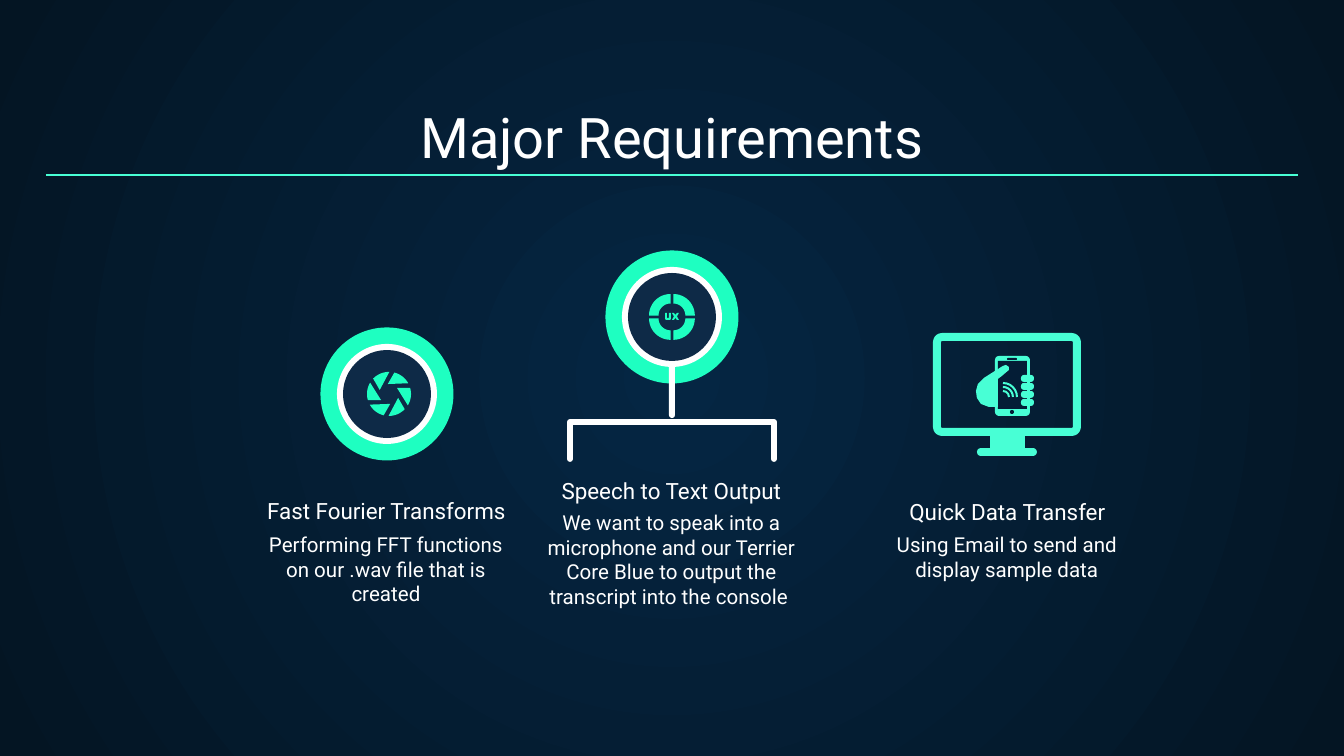
from math import cos, radians, sin

from pptx import Presentation
from pptx import util as u
from pptx.dml.color import RGBColor
from pptx.enum import shapes, text
from pptx.oxml import ns, parse_xml

COLORS = {
    "center": "052643", "edge": "041523", "screen": "041D36", "navy": "0E2A47",
    "green": "1EFFC1", "mint": "48FFD5", "white": "FFFFFF",
}
KIND = shapes.MSO_SHAPE


def rgb(name):
    return RGBColor.from_string(COLORS[name])


def px(length):
    return u.Inches(length / 134.4)


def arc(center, radius, start, end, steps=12):
    angles = [radians(start + (end - start) * i / steps) for i in range(steps + 1)]
    return [(center[0] + radius * cos(a), center[1] + radius * sin(a)) for a in angles]


class Canvas:
    """Slide style and the page being drawn."""

    font = "Roboto"
    inset = 13

    def __init__(self, page):
        self.page = page

    def background(self, inner, outer):
        fill = self.page.background.fill
        fill.gradient()
        for stop, color in zip(fill.gradient_stops, (inner, outer)):
            stop.color.rgb = rgb(color)
        grad = self.page._element.find(".//" + ns.qn("a:gradFill"))
        grad.remove(grad.find(ns.qn("a:lin")))
        grad.append(parse_xml(
            f'<a:path {ns.nsdecls("a")} path="circle">'
            '<a:fillToRect l="50000" t="50000" r="50000" b="50000"/></a:path>'))

    def paint(self, shape, fill=None, line=None, weight=1):
        shape.shadow.inherit = False
        if fill:
            shape.fill.solid()
            shape.fill.fore_color.rgb = rgb(fill)
        else:
            shape.fill.background()
        if line:
            shape.line.color.rgb = rgb(line)
            shape.line.width = px(weight)
        else:
            shape.line.fill.background()
        return shape

    def shape(self, kind, left, top, width, height, radius=None, **paint):
        shape = self.page.shapes.add_shape(kind, px(left), px(top), px(width), px(height))
        if radius is not None:
            shape.adjustments[0] = radius / min(width, height)
        return self.paint(shape, **paint)

    def circle(self, center, diameter, kind=KIND.OVAL, **paint):
        left, top = (c - diameter / 2 for c in center)
        return self.shape(kind, left, top, diameter, diameter, **paint)

    def outline(self, points, close=True, **paint):
        points = [(px(x), px(y)) for x, y in points]
        builder = self.page.shapes.build_freeform(*points[0])
        builder.add_line_segments(points[1:], close=close)
        return self.paint(builder.convert_to_shape(), **paint)

    def rule(self, left, right, top, color, points):
        line = self.page.shapes.add_connector(
            shapes.MSO_CONNECTOR.STRAIGHT, px(left), px(top), px(right), px(top))
        line.line.color.rgb = rgb(color)
        line.line.width = u.Pt(points)
        line._element.spPr.append(parse_xml(f'<a:effectLst {ns.nsdecls("a")}/>'))

    def text(self, words, left, top, width, height, size, anchor=text.MSO_ANCHOR.TOP):
        box = self.page.shapes.add_textbox(px(left), px(top), px(width), px(height))
        frame = box.text_frame
        frame.word_wrap = True
        frame.vertical_anchor = anchor
        for side in ("left", "top", "right", "bottom"):
            setattr(frame, "margin_" + side, px(self.inset))
        para = frame.paragraphs[0]
        para.alignment = text.PP_ALIGN.CENTER
        span = para.add_run()
        span.text = words
        span.font.name = self.font
        span.font.size = u.Pt(size)
        span.font.color.rgb = rgb("white")

    def heading(self, words, left, top, width, height, size=12):
        self.text(words, left, top, width, height, size, text.MSO_ANCHOR.BOTTOM)

    def badge(self, center):
        for diameter, color in ((100, "white"), (88, "navy")):
            self.circle(center, diameter, fill=color)

    def aperture(self, center):
        for turn in range(0, 360, 60):
            tip = arc(center, 10, 143 + turn, 143 + turn, 1)[:1]
            self.outline(arc(center, 22, 164 + turn, 211 + turn) + tip, fill="green")

    def segmented_ring(self, center):
        for turn in range(0, 360, 90):
            corner = arc(center, 2, turn + 45, turn + 45, 1)[0]
            sector = arc(corner, 21.5, turn, turn + 90) + arc(corner, 12, turn + 90, turn)
            self.outline(sector, fill="green")

    def monitor(self):
        self.shape(KIND.ROUNDED_RECTANGLE, 937, 337, 140, 95, 5, line="mint", weight=8)
        self.shape(KIND.RECTANGLE, 990, 435, 35, 14, fill="mint")
        self.shape(KIND.ROUNDED_RECTANGLE, 977, 448, 60, 8, 4, fill="mint")

    def phone(self):
        self.shape(KIND.ROUNDED_RECTANGLE, 995, 356, 35, 60, 4, fill="mint")
        self.shape(KIND.RECTANGLE, 998, 361, 29, 48, fill="screen")
        self.shape(KIND.ROUNDED_RECTANGLE, 1007, 358, 10, 2, 1, fill="screen")
        self.circle((1012, 412), 4, fill="screen")
        self.outline([
            (995, 371), (984, 378), (978, 384), (976, 391), (977, 398), (981, 404),
            (989, 407), (998, 407), (998, 379), (1002, 376), (1009, 370), (1009, 367),
            (1006, 365), (1003, 366)], fill="mint")
        for finger in range(4):
            self.shape(KIND.ROUNDED_RECTANGLE, 1021, 375 + 8 * finger, 13, 7, 3, fill="mint")
        for radius in (6, 10, 14):
            self.circle((1003, 397), 2 * radius, KIND.ARC, line="mint", weight=2)


def main():
    deck = Presentation()
    deck.slide_width, deck.slide_height = px(1344), px(756)
    canvas = Canvas(deck.slides.add_slide(deck.slide_layouts[6]))
    canvas.background("center", "edge")

    canvas.heading("Major Requirements", 46, 94, 1252, 89, 30)
    canvas.rule(46, 1298, 175, "mint", 0.75)

    fourier, speech = (387, 394), (672, 317)
    canvas.circle(fourier, 133, fill="green")
    canvas.badge(fourier)
    canvas.aperture((389, 394))

    canvas.circle(speech, 133, fill="green")
    bracket = canvas.outline([(570, 459), (570, 422), (774, 422), (774, 459)],
                             close=False, line="white", weight=6)
    bracket.line._ln.set("cap", "rnd")
    canvas.shape(KIND.ROUNDED_RECTANGLE, 669, 306, 6, 112, 3, fill="white")
    canvas.badge(speech)
    canvas.segmented_ring(speech)
    canvas.outline([
        (665, 313), (667, 313), (667, 318), (669, 318), (669, 313), (671, 313),
        (671, 319), (670, 320), (666, 320), (665, 319)], fill="green")
    canvas.outline([
        (672, 313), (674, 313), (675.5, 315), (677, 313), (679, 313), (677, 316.5),
        (679, 320), (677, 320), (675.5, 318), (674, 320), (672, 320), (674, 316.5)],
        fill="green")

    canvas.monitor()
    canvas.phone()

    canvas.heading("Fast Fourier Transforms", 234, 509, 305, 28)
    canvas.text("Performing FFT functions on our .wav file that is created",
                255, 519, 262, 74, 11)
    canvas.heading("Speech to Text Output", 519, 489, 305, 28)
    canvas.text("We want to speak into a microphone and our Terrier Core Blue "
                "to output the transcript into the console ", 519, 497, 305, 153, 11)
    canvas.heading("Quick Data Transfer", 855, 492, 305, 46)
    canvas.text("Using Email to send and display sample data", 868, 519, 278, 74, 11)
    deck.save("out.pptx")


if __name__ == "__main__":
    main()
